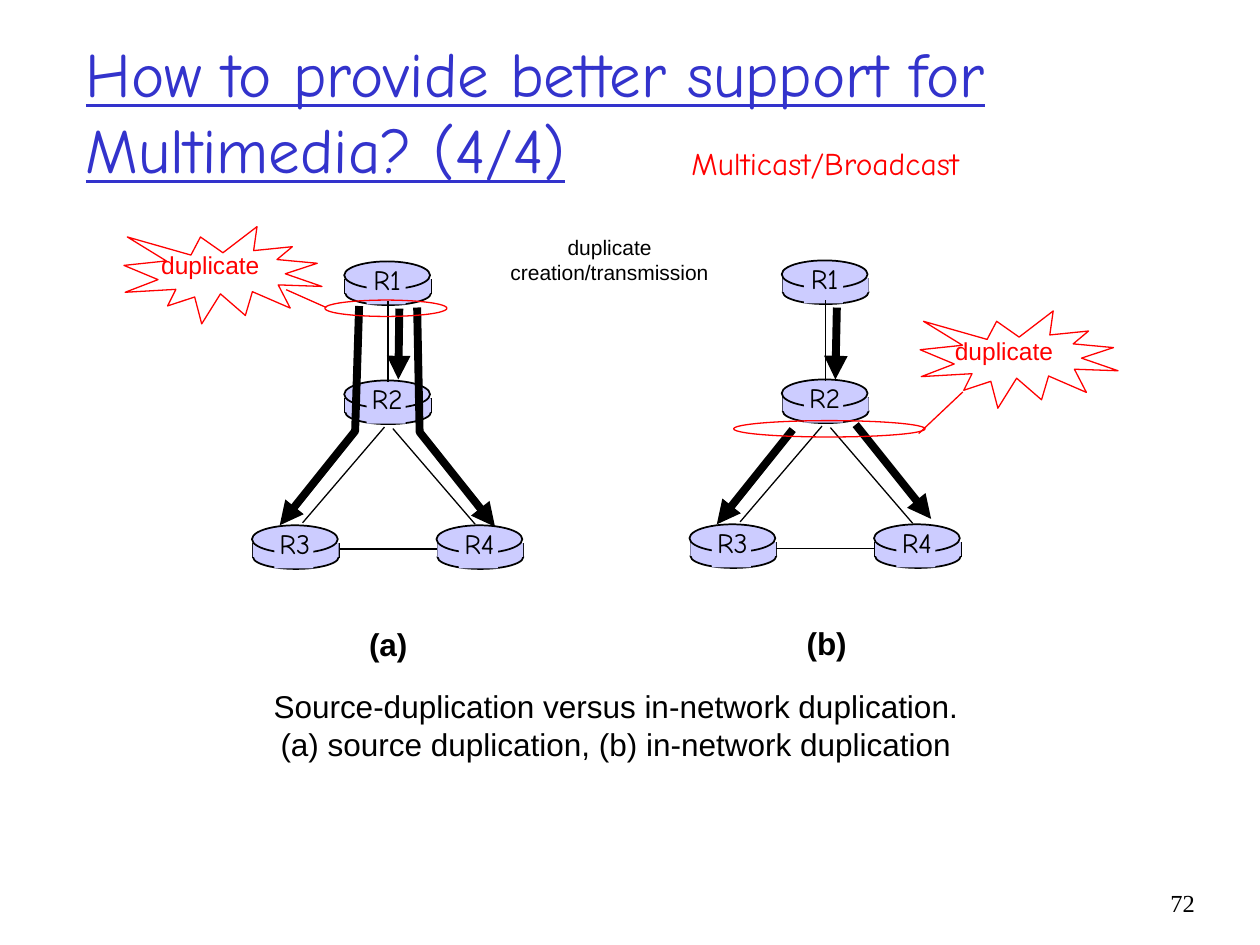
from lxml import etree
from pptx import Presentation
from pptx.dml.color import RGBColor
from pptx.enum.shapes import MSO_CONNECTOR, MSO_SHAPE
from pptx.enum.text import MSO_ANCHOR, PP_ALIGN
from pptx.oxml.ns import qn
from pptx.util import Cm, Pt

BLACK, RED, BLUE, LILAC = "000000", "FF0000", "3333CC", "CCCCFF"
HAND, SANS, SERIF = "Comic Neue", "Arial", "Times New Roman"
LEFT, CENTER, RIGHT = PP_ALIGN.LEFT, PP_ALIGN.CENTER, PP_ALIGN.RIGHT

# All positions and sizes are in centimetres.
TITLE = "How to provide better support for Multimedia? (4/4)"
CAPTION = ("Source-duplication versus in-network duplication.\n"
           "(a) source duplication, (b) in-network duplication")

# The network is the same in both panels, apart from the panel's offset.
ROUTERS = {"R1": (6.94, 5.27), "R2": (6.94, 7.67),
           "R3": (5.08, 10.59), "R4": (8.8, 10.59)}
LINKS = [((7.82, 6.07), (7.82, 7.7)), ((7.75, 8.61), (6.1, 10.54)),
         ((7.92, 8.64), (9.58, 10.57)), ((6.83, 11.07), (8.81, 11.07))]
PANEL_LABEL = (7.19, 12.47)

PANELS = [
    {"name": "(a)", "offset": (0, 0),
     "flows": [[(8.05, 6.22), (8.03, 7.65)],
               [(8.41, 6.2), (8.46, 8.71), (9.98, 10.62)],
               [(7.24, 6.17), (7.16, 8.69), (5.64, 10.59)]],
     "burst": (2.5, 4.57), "burst_text": (3, 4.92),
     "ring": (6.55, 6.05, 2.46, 0.33),
     "pointer": ((6.58, 6.2), (5.77, 5.84))},
    {"name": "(b)", "offset": (8.82, -0.02),
     "flows": [[(16.87, 6.2), (16.84, 7.65)],
               [(17.25, 8.56), (18.77, 10.46)],
               [(15.98, 8.66), (14.45, 10.57)]],
     "burst": (18.55, 6.27), "burst_text": (19, 6.65),
     "ring": (14.79, 8.48, 3.86, 0.33),
     "pointer": ((19.41, 7.9), (18.52, 8.74))},
]

ROUTER_W = 1.73

prs = Presentation()
prs.slide_width, prs.slide_height = Cm(25.4), Cm(19.05)
shapes = prs.slides.add_slide(prs.slide_layouts[6]).shapes


def rgb(color):
    return RGBColor.from_string(color)


def style(sp, fill=None, line=None, width=1):
    sp.shadow.inherit = False
    if fill:
        sp.fill.solid()
        sp.fill.fore_color.rgb = rgb(fill)
    else:
        sp.fill.background()
    if line:
        sp.line.color.rgb = rgb(line)
        sp.line.width = Pt(width)
    else:
        sp.line.fill.background()


def add_shape(kind, box, fill=None, line=None, width=1):
    sp = shapes.add_shape(kind, *map(Cm, box))
    style(sp, fill, line, width)


def add_line(start, end, color=BLACK, width=0.75):
    cxn = shapes.add_connector(MSO_CONNECTOR.STRAIGHT, *map(Cm, start + end))
    cxn.line.color.rgb = rgb(color)
    cxn.line.width = Pt(width)
    etree.SubElement(cxn._element.spPr, qn("a:effectLst"))
    return cxn


def add_flow(points):
    """Thick arrow through two or more points."""
    if len(points) == 2:
        sp = add_line(*points, width=4.5)
    else:
        start, *rest = [tuple(map(Cm, pt)) for pt in points]
        builder = shapes.build_freeform(*start)
        builder.add_line_segments(rest, close=False)
        sp = builder.convert_to_shape()
        style(sp, line=BLACK, width=4.5)
    ln = sp._element.spPr.find(qn("a:ln"))
    etree.SubElement(ln, qn("a:tailEnd"), type="triangle")


def add_text(text, box, size, font=SANS, color=BLACK, align=LEFT, wrap=False,
             bold=False, underline=False, anchor=MSO_ANCHOR.TOP):
    tf = shapes.add_textbox(*map(Cm, box)).text_frame
    tf.word_wrap = wrap
    tf.vertical_anchor = anchor
    tf.text = text
    for p in tf.paragraphs:
        p.alignment = align
        for r in p.runs:
            r.font.name, r.font.size = font, Pt(size)
            r.font.bold, r.font.underline = bold, underline
            r.font.color.rgb = rgb(color)


def add_router(name, x, y):
    left = x + 0.02
    add_shape(MSO_SHAPE.OVAL, (left, y + 0.4, ROUTER_W, 0.48), LILAC, BLACK)
    for side in (left, left + ROUTER_W):
        add_line((side, y + 0.36), (side, y + 0.66), width=1)
    add_shape(MSO_SHAPE.RECTANGLE, (left, y + 0.36, ROUTER_W, 0.28), LILAC)
    add_shape(MSO_SHAPE.OVAL, (x, y, ROUTER_W, 0.56), LILAC, BLACK)
    add_shape(MSO_SHAPE.RECTANGLE, (x + 0.45, y + 0.08, 0.79, 0.79), LILAC)
    add_text(name, (x, y - 0.11, ROUTER_W, 0.94), 16, HAND, align=CENTER)


def add_panel(panel):
    dx, dy = panel["offset"]

    def shift(point):
        return point[0] + dx, point[1] + dy

    for name, corner in ROUTERS.items():
        add_router(name, *shift(corner))
    for start, end in LINKS:
        add_line(shift(start), shift(end))
    add_text(panel["name"], (*shift(PANEL_LABEL), 1.8, 1.02), 18, bold=True,
             wrap=True)
    for points in panel["flows"]:
        add_flow(points)
    add_shape(MSO_SHAPE.EXPLOSION1, (*panel["burst"], 3.99, 1.96),
              line=RED, width=0.75)
    add_text("duplicate", (*panel["burst_text"], 2.6, 0.86), 14, color=RED,
             wrap=True)
    add_shape(MSO_SHAPE.OVAL, panel["ring"], line=RED, width=0.75)
    add_line(*panel["pointer"], color=RED)


add_text(TITLE, (1.48, 0.64, 21.59, 3.18), 36, HAND, BLUE, wrap=True,
         underline=True, anchor=MSO_ANCHOR.MIDDLE)
for panel in PANELS:
    add_panel(panel)
add_text("duplicate\ncreation/transmission", (10.04, 4.6, 4.5, 1.27), 12,
         align=CENTER)
add_text(CAPTION, (5, 13.72, 14.83, 1.78), 18, align=CENTER)
add_text("Multicast/Broadcast", (13.69, 2.77, 7, 1.02), 18, HAND, RED,
         wrap=True)
add_text("72", (23.07, 17.78, 1.27, 1.27), 14, SERIF, align=RIGHT, wrap=True)

prs.save("out.pptx")
